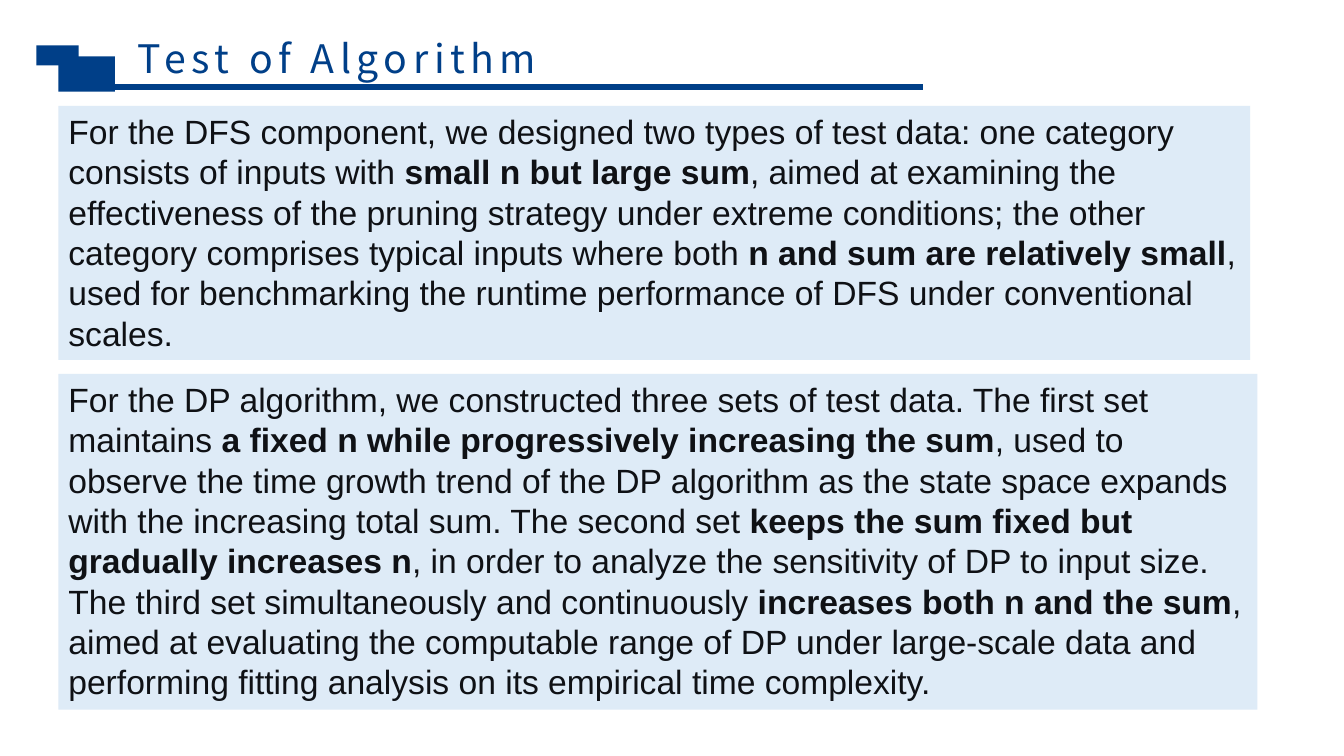
from typing import NamedTuple

from lxml import etree
from pptx import Presentation
from pptx import util as u
from pptx.dml.color import RGBColor
from pptx.enum import shapes, text
from pptx.oxml import ns

NAVY = RGBColor(0x00, 0x3F, 0x88)
PALE_BLUE = RGBColor(0xDE, 0xEB, 0xF7)
INK = RGBColor(0x0F, 0x11, 0x15)


class Block(NamedTuple):
    left: float
    top: float
    width: float
    height: float
    fill: RGBColor
    spans: tuple[str, ...] = ()  # regular and bold wording take turns


HEADER_BLOCKS = (
    Block(0.36, 0.45, 0.42, 0.2, NAVY),
    Block(0.58, 0.56, 0.56, 0.35, NAVY),
)
TEXT_BLOCKS = (
    Block(0.58, 1.05, 11.82, 2.52, PALE_BLUE, (
        "For the DFS component, we designed two types of test data: one category "
        "consists of inputs with ",
        "small n but large sum",
        ", aimed at examining the effectiveness of the pruning strategy under extreme "
        "conditions; the other category comprises typical inputs where both ",
        "n and sum are relatively small",
        ", used for benchmarking the runtime performance of DFS under conventional scales.",
    )),
    Block(0.58, 3.71, 11.89, 3.33, PALE_BLUE, (
        "For the DP algorithm, we constructed three sets of test data. The first set maintains ",
        "a fixed n while progressively increasing the sum",
        ", used to observe the time growth trend of the DP algorithm as the state space "
        "expands with the increasing total sum. The second set ",
        "keeps the sum fixed but gradually increases n",
        ", in order to analyze the sensitivity of DP to input size. The third set "
        "simultaneously and continuously ",
        "increases both n and the sum",
        ", aimed at evaluating the computable range of DP under large-scale data and "
        "performing fitting analysis on its empirical time complexity.",
    )),
)


def style_span(span, font: str, size: int, color: RGBColor, bold: bool = False) -> None:
    span.font.name = font
    span.font.size = u.Pt(size)
    span.font.color.rgb = color
    span.font.bold = bold


def draw_block(page, block: Block) -> None:
    box = page.shapes.add_shape(
        shapes.MSO_SHAPE.RECTANGLE, u.Inches(block.left), u.Inches(block.top),
        u.Inches(block.width), u.Inches(block.height))
    box.shadow.inherit = False
    box.fill.solid()
    box.fill.fore_color.rgb = block.fill
    box.line.fill.background()
    if not block.spans:
        return
    frame = box.text_frame
    frame.word_wrap = True
    frame.vertical_anchor = text.MSO_ANCHOR.TOP
    para = frame.paragraphs[0]
    para.alignment = text.PP_ALIGN.LEFT
    for index, wording in enumerate(block.spans):
        span = para.add_run()
        span.text = wording
        style_span(span, "Arial", 24, INK, bold=index % 2 == 1)


def draw_rule(page) -> None:
    rule = page.shapes.add_connector(
        shapes.MSO_CONNECTOR.STRAIGHT, u.Inches(0.98), u.Inches(0.86),
        u.Inches(9.15), u.Inches(0.86))
    rule.line.color.rgb = NAVY
    rule.line.width = u.Pt(4.5)
    etree.SubElement(rule._element.spPr, ns.qn("a:effectLst"))


def draw_title(page) -> None:
    box = page.shapes.add_textbox(
        u.Inches(1.27), u.Inches(0.29), u.Inches(5.39), u.Inches(0.57))
    frame = box.text_frame
    frame.word_wrap = True
    frame.vertical_anchor = text.MSO_ANCHOR.MIDDLE
    frame.text = "Test of Algorithm"
    span = frame.paragraphs[0].runs[0]
    style_span(span, "Noto Sans CJK SC", 28, NAVY)
    span.font._element.set("spc", "400")  # letter spacing of 4 pt


def main() -> None:
    deck = Presentation()
    deck.slide_width, deck.slide_height = u.Inches(13.33), u.Inches(7.5)
    page = deck.slides.add_slide(deck.slide_layouts[6])

    # Header
    for block in HEADER_BLOCKS:
        draw_block(page, block)
    draw_rule(page)
    draw_title(page)

    # Body
    for block in TEXT_BLOCKS:
        draw_block(page, block)

    deck.save("out.pptx")


if __name__ == "__main__":
    main()
